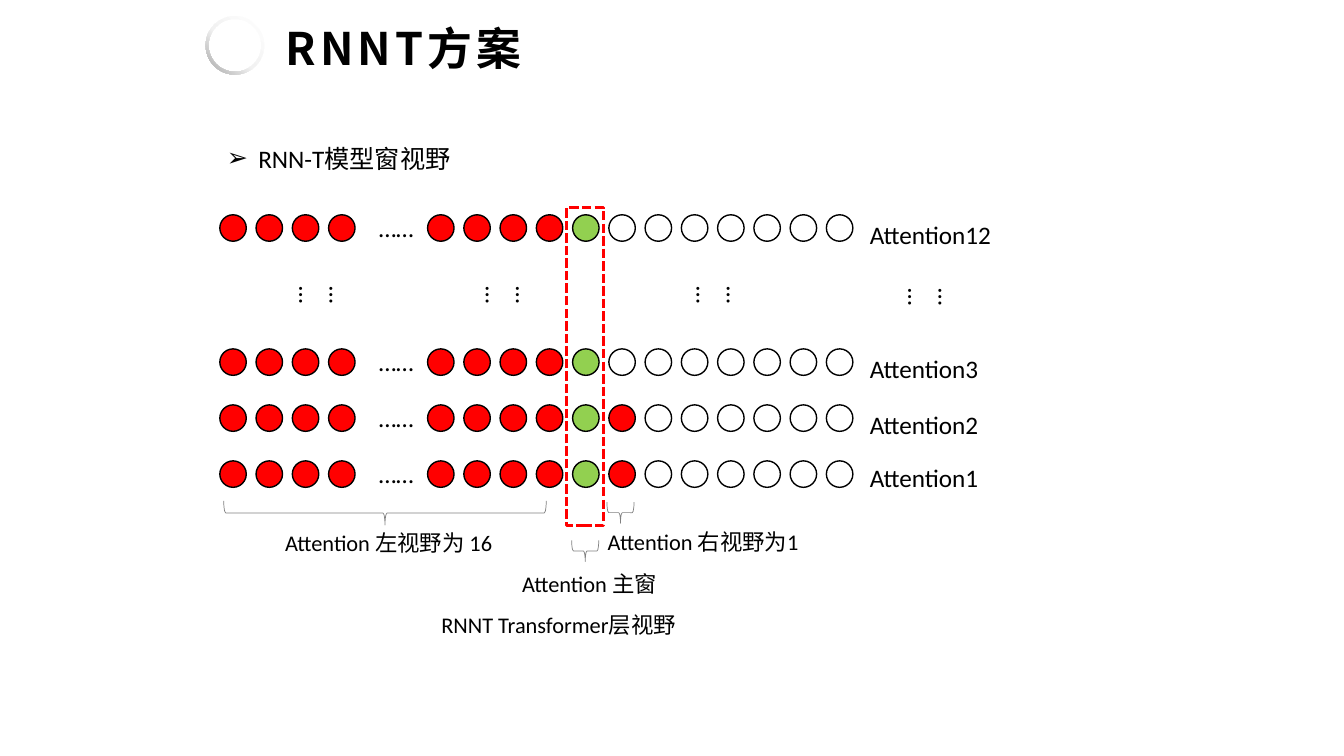
from copy import deepcopy

from lxml import etree
from pptx import Presentation
from pptx.dml.color import RGBColor
from pptx.enum import dml, shapes, text
from pptx.oxml import ns
from pptx.util import Pt

BLACK = RGBColor(0x00, 0x00, 0x00)
RED = RGBColor(0xFF, 0x00, 0x00)
GREEN = RGBColor(0x92, 0xD0, 0x50)
GRAY = RGBColor(0x80, 0x80, 0x80)
RING = [(0, RGBColor(0xFF, 0xFF, 0xFF)),
        (0.55, RGBColor(0xF2, 0xF2, 0xF2)),
        (1, RGBColor(0xA6, 0xA6, 0xA6))]
LATIN = "Calibri"
HAN = "Noto Sans CJK SC"

SIZE = 18.9
STEP = 25.9
LEFT = [157 + STEP * i for i in range(4)]
RIGHT = [305.4 + STEP * i for i in range(12)]
# label, top, label top, whether the right neighbour is in view
ROWS = [("Attention12", 153.4, 153.4, False),
        ("Attention3", 249.2, 249.2, False),
        ("Attention2", 289.2, 289.2, True),
        ("Attention1", 329.2, 326.9, True)]
# left, top, width of the vertical dots
DOTS = [(198.7, 197.3), (331.9, 197.3), (482.4, 197.3), (633.6, 198.7)]
# left, top, width, height
BRACES = [(159.8, 357.8, 230.4, 17.3),
          (433.5, 358.6, 19.4, 15.1),
          (408.3, 386, 19.4, 15.1)]
NOTES = [("Attention 左视野为 16", 196.6, 374.4, 172),
         ("Attention 右视野为1", 427, 373.7, 166.3),
         ("Attention 主窗", 365.8, 403.9, 118.8),
         ("RNNT Transformer层视野", 308.2, 432.7, 224)]


def place(item, *box):
    for name, value in zip(("left", "top", "width", "height"), box):
        setattr(item, name, Pt(value))


def write(item, words, size, face=LATIN, bold=False, wrap=True):
    """Fill a text frame with one left-aligned, top-anchored line."""
    frame = item.text_frame
    look = {"word_wrap": wrap, "auto_size": text.MSO_AUTO_SIZE.NONE,
            "vertical_anchor": text.MSO_ANCHOR.TOP}
    for name, value in look.items():
        setattr(frame, name, value)
    para = frame.paragraphs[0]
    para.alignment = text.PP_ALIGN.LEFT
    run = para.add_run()
    run.text = words
    for name, value in {"size": Pt(size), "name": face, "bold": bold}.items():
        setattr(run.font, name, value)
    run.font.color.rgb = BLACK
    props = run._r.get_or_add_rPr()
    etree.SubElement(props, ns.qn("a:ea"), typeface=HAN)
    return para, props


def label(slide, words, size, *box):
    item = slide.shapes.add_textbox(*map(Pt, box))
    write(item, words, size)
    return item


def shape(slide, kind, box, fill=None, line=None, width=1):
    item = slide.shapes.add_shape(kind, *map(Pt, box))
    item.shadow.inherit = False
    if fill is None:
        item.fill.background()
    else:
        item.fill.solid()
        item.fill.fore_color.rgb = fill
    if line is None:
        item.line.fill.background()
    else:
        item.line.color.rgb = line
        item.line.width = Pt(width)
    return item


def head(slide):
    title, body = slide.shapes.title, slide.placeholders[1]
    place(title, 196.6, 11.5, 195.1, 46.1)
    props = write(title, "RNNT方案", 32, HAN, True, False)[1]
    props.set("spc", "300")

    place(body, 154.8, 98.6, 249.1, 28.8)
    para = write(body, "RNN-T模型窗视野", 18)[0]
    para.space_before = Pt(6)
    props = para._p.get_or_add_pPr()
    props.set("marL", str(Pt(22.5)))
    props.set("indent", str(-Pt(22.5)))
    etree.SubElement(props, ns.qn("a:buFont"), typeface="Arial")
    etree.SubElement(props, ns.qn("a:buChar"), char="➢")


def ring(slide):
    item = shape(slide, shapes.MSO_SHAPE.DONUT, (146.9, 11.5, 41.8, 41.8))
    item.adjustments[0] = 0.049
    item.fill.gradient()
    item.fill.gradient_angle = 225
    stops = item._element.spPr.find(".//" + ns.qn("a:gsLst"))
    stops.append(deepcopy(stops[-1]))
    for stop, (spot, color) in zip(item.fill.gradient_stops, RING):
        stop.position = spot
        stop.color.rgb = color


def row(slide, name, top, high, ahead):
    """Draw one attention layer: its circles, dots and label."""
    fills = [RED] * 8 + [GREEN, RED if ahead else None] + [None] * 6
    for left, fill in zip(LEFT + RIGHT, fills):
        shape(slide, shapes.MSO_SHAPE.FLOWCHART_CONNECTOR,
              (left, top, SIZE, SIZE), fill, BLACK)
    label(slide, "……", 18, 263.5, top - 5.4, 51.1, 28.8)
    label(slide, name, 18, 614.2, high, 103.7, 28.8)


def dots(slide, left, top):
    item = label(slide, "……", 18, left, top, 58.3, 31)
    item.text_frame._txBody.bodyPr.set("vert", "eaVert")


def brace(slide, left, top, width, height):
    """Draw a brace that opens upward, in the given visible box."""
    box = (left + (width - height) / 2, top + (height - width) / 2,
           height, width)
    item = shape(slide, shapes.MSO_SHAPE.RIGHT_BRACE, box, None, GRAY, 0.5)
    item.rotation = 90


def main():
    deck = Presentation()
    deck.slide_width, deck.slide_height = Pt(960), Pt(540)
    slide = deck.slides.add_slide(deck.slide_layouts[1])
    head(slide)
    ring(slide)
    for layer in ROWS:
        row(slide, *layer)
    for spot in DOTS:
        dots(slide, *spot)
    for box in BRACES:
        brace(slide, *box)
    frame = shape(slide, shapes.MSO_SHAPE.RECTANGLE,
                  (404.8, 148.5, 26.6, 226.6), None, RED, 2.25)
    frame.line.dash_style = dml.MSO_LINE.SQUARE_DOT
    for words, left, top, width in NOTES:
        label(slide, words, 16, left, top, width, 26.6)
    deck.save("out.pptx")


if __name__ == "__main__":
    main()
